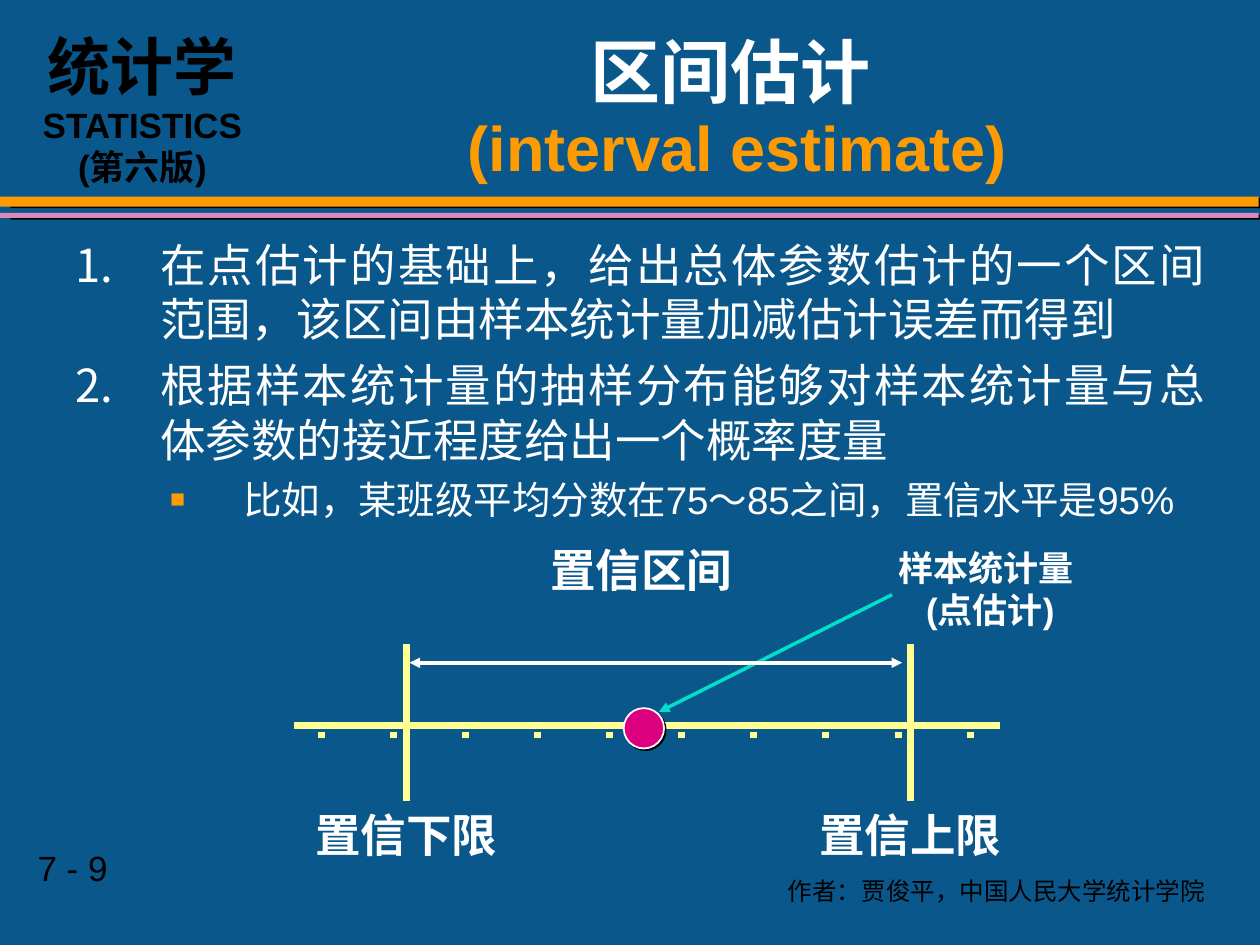
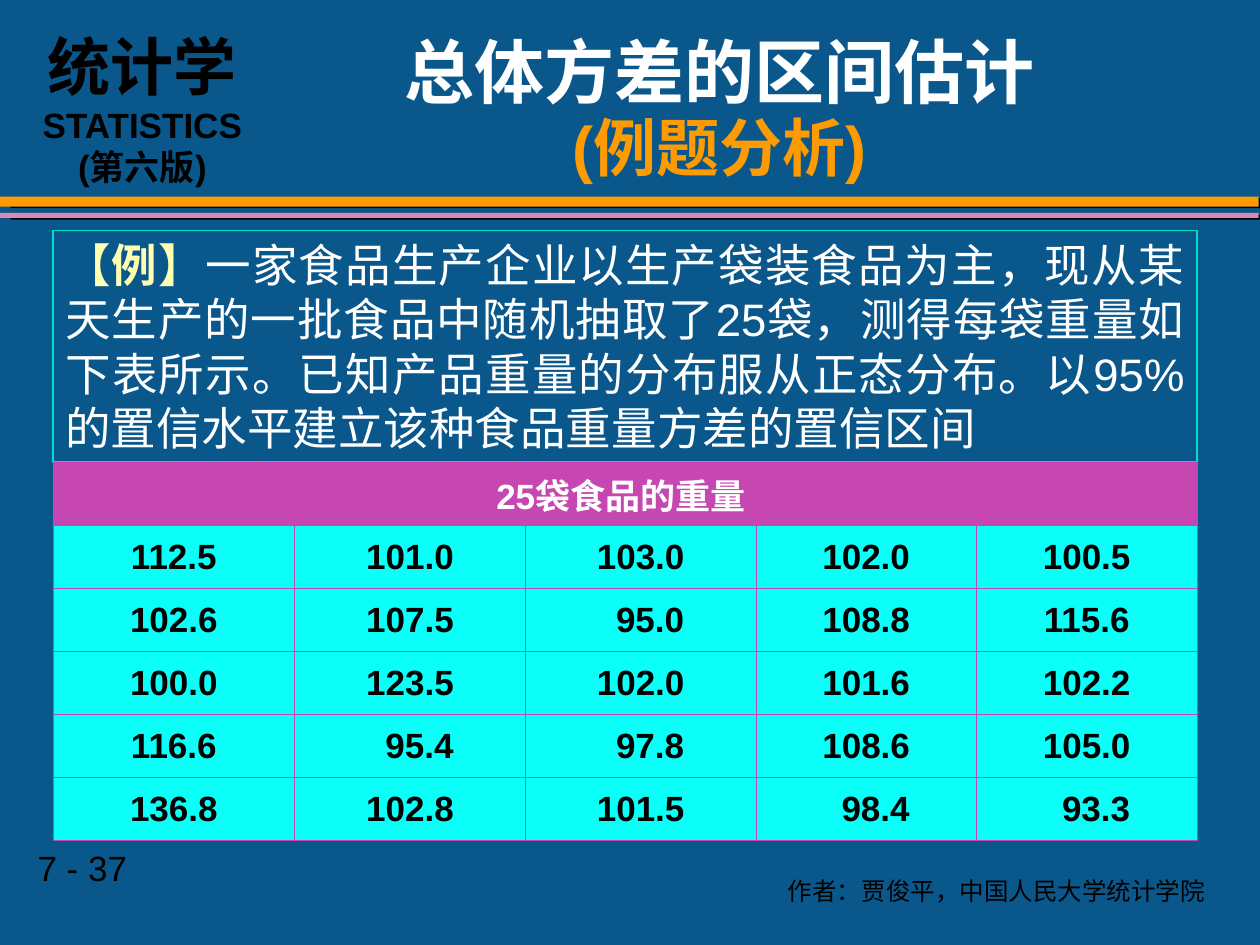
"""Build two statistics slides on interval estimation."""
from copy import deepcopy
from dataclasses import dataclass, replace
from itertools import chain, repeat
from typing import NamedTuple

from lxml.etree import SubElement
from pptx import Presentation
from pptx.dml.color import RGBColor
from pptx.enum.shapes import MSO_CONNECTOR as Conn, MSO_SHAPE as Geo
from pptx.enum.text import MSO_ANCHOR as Anchor, MSO_AUTO_SIZE as Fit, PP_ALIGN as Align
from pptx.oxml.ns import qn
from pptx.util import Inches, Pt


@dataclass(frozen=True)
class Style:
    size: int
    color: str
    bold: bool = False
    font: str = "Arial"


@dataclass(frozen=True)
class Theme:
    back: str = "0A578C"
    white: str = "FFFFFF"
    black: str = "000000"
    orange: str = "FE9B03"
    pink: str = "D989B8"
    axis: str = "FFFF93"
    teal: str = "00DFCA"
    point: str = "DC0081"
    header: str = "C747B2"
    grid: str = "C945B3"
    cell: str = "0BFFF9"
    title: Style = Style(40, "FFFFFF", True)
    subtitle: Style = Style(36, "FE9B03", True)
    body: Style = Style(26, "FFFFFF")
    detail: Style = Style(22, "FFFFFF")
    label: Style = Style(26, "FFFFFF", True)
    small_label: Style = Style(20, "FFFFFF", True)
    example: Style = Style(26, "FFFFB1", True)
    value: Style = Style(20, "000000", True)
    course: Style = Style(36, "000000", True)
    number: Style = Style(20, "000000")
    author: Style = Style(14, "000000")


class Box(NamedTuple):
    left: float
    top: float
    width: float
    height: float


class Line(NamedTuple):
    x1: float
    y1: float
    x2: float
    y2: float
    color: str
    width: float
    ends: tuple = ()


class Label(NamedTuple):
    text: str
    box: Box
    styles: tuple
    align: Align = Align.CENTER
    wrap: bool = True


class Band(NamedTuple):
    box: Box
    color: str


T = Theme()
BANDS = [Band(Box(0, 1.56, 9.99, 0.08), T.orange), Band(Box(0, 1.69, 9.99, 0.04), T.pink)]
FRAME_LABELS = [
    Label("作者：贾俊平，中国人民大学统计学院", Box(6.1, 6.9, 3.62, 0.34), (T.author,)),
    Label("统计学\vSTATISTICS\n(第六版)", Box(0.17, 0.17, 1.92, 1.37), (T.course, T.value)),
]
POINTS = [
    ("在点估计的基础上，给出总体参数估计的一个区间范围，该区间由样本统计量加减估计误差而得到", 0),
    ("根据样本统计量的抽样分布能够对样本统计量与总体参数的接近程度给出一个概率度量", 0),
    ("比如，某班级平均分数在75～85之间，置信水平是95%", 1),
]
LIMITS = [("置信下限", 3.23), ("置信上限", 7.23)]
EXAMPLE = ("一家食品生产企业以生产袋装食品为主，现从某天生产的一批食品中随机抽取了25袋，"
           "测得每袋重量如下表所示。已知产品重量的分布服从正态分布。"
           "以95%的置信水平建立该种食品重量方差的置信区间")
WEIGHTS = [
    [112.5, 101.0, 103.0, 102.0, 100.5],
    [102.6, 107.5, 95.0, 108.8, 115.6],
    [100.0, 123.5, 102.0, 101.6, 102.2],
    [116.6, 95.4, 97.8, 108.6, 105.0],
    [136.8, 102.8, 101.5, 98.4, 93.3],
]
COLUMNS = [1.92, 1.83, 1.83, 1.75, 1.75]


def rgb(color: str) -> RGBColor:
    return RGBColor.from_string(color)


def place(box: Box) -> list:
    return [Inches(v) for v in box]


def style_run(r, style: Style) -> None:
    f = r.font
    f.size, f.bold, f.name = Pt(style.size), style.bold, style.font
    f.color.rgb = rgb(style.color)
    r._r.get_or_add_rPr().set("lang", "zh-CN")


def write(tf, text: str, styles: tuple, align: Align) -> None:
    """Set the text, style its runs in turn and give line breaks the same size."""
    tf.text = text
    following = chain(styles, repeat(styles[-1]))
    for p in tf.paragraphs:
        p.alignment = align
        for r in p.runs:
            style_run(r, next(following))
        for br in p._p.findall(qn("a:br")):
            br.append(deepcopy(br.getprevious().find(qn("a:rPr"))))


def add_label(s, label: Label) -> None:
    tf = s.shapes.add_textbox(*place(label.box)).text_frame
    tf.word_wrap = label.wrap
    write(tf, label.text, label.styles, label.align)


def add_shape(s, geo: Geo, box: Box, fill: str | None, line: str | None = None):
    sp = s.shapes.add_shape(geo, *place(box))
    sp.shadow.inherit = False
    if fill:
        sp.fill.solid()
        sp.fill.fore_color.rgb = rgb(fill)
    else:
        sp.fill.background()
    if line:
        sp.line.color.rgb = rgb(line)
        sp.line.width = Pt(1)
    else:
        sp.line.fill.background()
    return sp


def add_shadow(sp, distance: float, angle: int) -> None:
    effects = sp._element.spPr.find(qn("a:effectLst"))
    shadow = SubElement(effects, qn("a:outerShdw"), blurRad="0", dist=str(Pt(distance)),
                        dir=str(angle * 60000), algn="ctr", rotWithShape="0")
    SubElement(shadow, qn("a:srgbClr"), val=T.black)


def add_line(s, line: Line) -> None:
    c = s.shapes.add_connector(Conn.STRAIGHT, *(Inches(v) for v in line[:4]))
    c.line.color.rgb = rgb(line.color)
    c.line.width = Pt(line.width)
    for end in line.ends:
        SubElement(c.line._get_or_add_ln(), qn(f"a:{end}"), type="triangle")
    SubElement(c._element.spPr, qn("a:effectLst"))


def add_frame(prs, layout: int, number: str, title: str, box: Box, font: str = "Arial"):
    """Add a slide with its background, bands, footers and title."""
    s = prs.slides.add_slide(prs.slide_layouts[layout])
    s.background.fill.solid()
    s.background.fill.fore_color.rgb = rgb(T.back)
    for band in BANDS:
        add_shadow(add_shape(s, Geo.RECTANGLE, band.box, band.color), 6.1, 9)
    page = Label(number, Box(0.2, 6.67, 1.87, 0.43), (T.number,), Align.LEFT, False)
    for label in [page, *FRAME_LABELS]:
        add_label(s, label)
    sp = s.shapes.title
    sp.left, sp.top, sp.width, sp.height = place(box)
    tf = sp.text_frame
    tf.auto_size, tf.vertical_anchor = Fit.NONE, Anchor.MIDDLE
    write(tf, title, (replace(T.title, font=font), T.subtitle), Align.CENTER)
    tf.paragraphs[0].line_spacing = 0.95
    return s


def set_bullet(p, level: int) -> None:
    pPr = p._p.get_or_add_pPr()
    margin, indent = [(0.67, -0.67), (1.33, -0.58)][level]
    pPr.set("marL", str(Inches(margin)))
    pPr.set("indent", str(Inches(indent)))
    color = SubElement(pPr, qn("a:buClr"))
    SubElement(color, qn("a:srgbClr"), val=[T.white, T.orange][level])
    if level:
        SubElement(pPr, qn("a:buSzPct"), val="65000")
    SubElement(pPr, qn("a:buFont"), typeface="Arial")
    if level:
        SubElement(pPr, qn("a:buChar"), char="■")
    else:
        SubElement(pPr, qn("a:buAutoNum"), type="arabicPeriod")


def add_points(s) -> None:
    sp = s.placeholders[1]
    sp.left, sp.top, sp.width, sp.height = place(Box(0.5, 1.83, 9.17, 5))
    tf = sp.text_frame
    tf.auto_size = Fit.NONE
    levels = [level for _, level in POINTS]
    styles = tuple([T.body, T.detail][level] for level in levels)
    write(tf, "\n".join(text for text, _ in POINTS), styles, Align.JUSTIFY)
    for p, level in zip(tf.paragraphs, levels):
        p.level = level
        p.space_before = Pt([6.5, 5.5][level])
        set_bullet(p, level)


def add_interval(s) -> None:
    """Draw the axis with its limits, point estimate and arrows."""
    add_label(s, Label("样本统计量 \v(点估计)", Box(6.75, 4.29, 2.22, 0.76), (T.small_label,)))
    first, last, ticks = 2.55, 7.7, 10
    for i in range(ticks):
        x = first + i * (last - first) / (ticks - 1)
        add_line(s, Line(x, 5.81, x, 5.86, T.axis, 4))
    add_line(s, Line(2.33, 5.76, 7.94, 5.76, T.axis, 4))
    estimate = add_shape(s, Geo.OVAL, Box(4.95, 5.62, 0.32, 0.32), T.point, T.white)
    add_shadow(estimate, 1.4, 45)
    add_line(s, Line(7.08, 4.72, 5.23, 5.65, T.teal, 2, ("tailEnd",)))
    add_label(s, Label("置信区间", Box(4.27, 4.25, 1.89, 0.53), (T.label,), Align.LEFT))
    for text, x in LIMITS:
        add_label(s, Label(text, Box(x - 1.49, 6.36, 2.97, 0.53), (T.label,)))
        add_line(s, Line(x, 5.11, x, 6.36, T.axis, 4))
    add_line(s, Line(3.25, 5.26, 7.16, 5.26, T.white, 2, ("headEnd", "tailEnd")))


def add_example(s) -> None:
    sp = add_shape(s, Geo.RECTANGLE, Box(0.42, 1.83, 9.08, 1.84), None, T.teal)
    tf = sp.text_frame
    tf.word_wrap, tf.vertical_anchor = True, Anchor.TOP
    write(tf, "【例】", (T.example,), Align.JUSTIFY)
    r = tf.paragraphs[0].add_run()
    r.text = EXAMPLE
    style_run(r, T.body)


def format_cell(cell, fill: str) -> None:
    cell.vertical_anchor = Anchor.MIDDLE
    tcPr = cell._tc.get_or_add_tcPr()
    for side in "LRTB":
        ln = SubElement(tcPr, qn(f"a:ln{side}"), w=str(Pt(0.45)))
        SubElement(SubElement(ln, qn("a:solidFill")), qn("a:srgbClr"), val=T.grid)
    cell.fill.solid()
    cell.fill.fore_color.rgb = rgb(fill)


def add_weights(s) -> None:
    rows, cols = len(WEIGHTS) + 1, len(COLUMNS)
    table = s.shapes.add_table(rows, cols, *place(Box(0.42, 3.67, 9.08, 3))).table
    table.first_row = table.horz_banding = False
    for column, width in zip(table.columns, COLUMNS):
        column.width = Inches(width)
    for i in range(cols):
        format_cell(table.cell(0, i), T.header)
    table.cell(0, 0).merge(table.cell(0, cols - 1))
    write(table.cell(0, 0).text_frame, "25袋食品的重量 ", (T.small_label,), Align.CENTER)
    for i, weights in enumerate(WEIGHTS, 1):
        for j, weight in enumerate(weights):
            cell = table.cell(i, j)
            format_cell(cell, T.cell)
            write(cell.text_frame, f"{weight:.1f}", (T.value,), Align.CENTER)
            if weight < 100:
                cell.margin_left = Inches(0.25)


def main() -> None:
    prs = Presentation()
    prs.slide_width, prs.slide_height = Inches(10), Inches(7.5)
    s = add_frame(prs, 1, "7 - 9", "区间估计\v (interval estimate)",
                  Box(2.17, 0.25, 7.25, 1.25), "Vollkorn")
    add_points(s)
    add_interval(s)
    s = add_frame(prs, 5, "7 - 37", "总体方差的区间估计\v(例题分析)", Box(2, 0.25, 7.42, 1.25))
    add_example(s)
    add_weights(s)
    prs.save("out.pptx")


if __name__ == "__main__":
    main()
